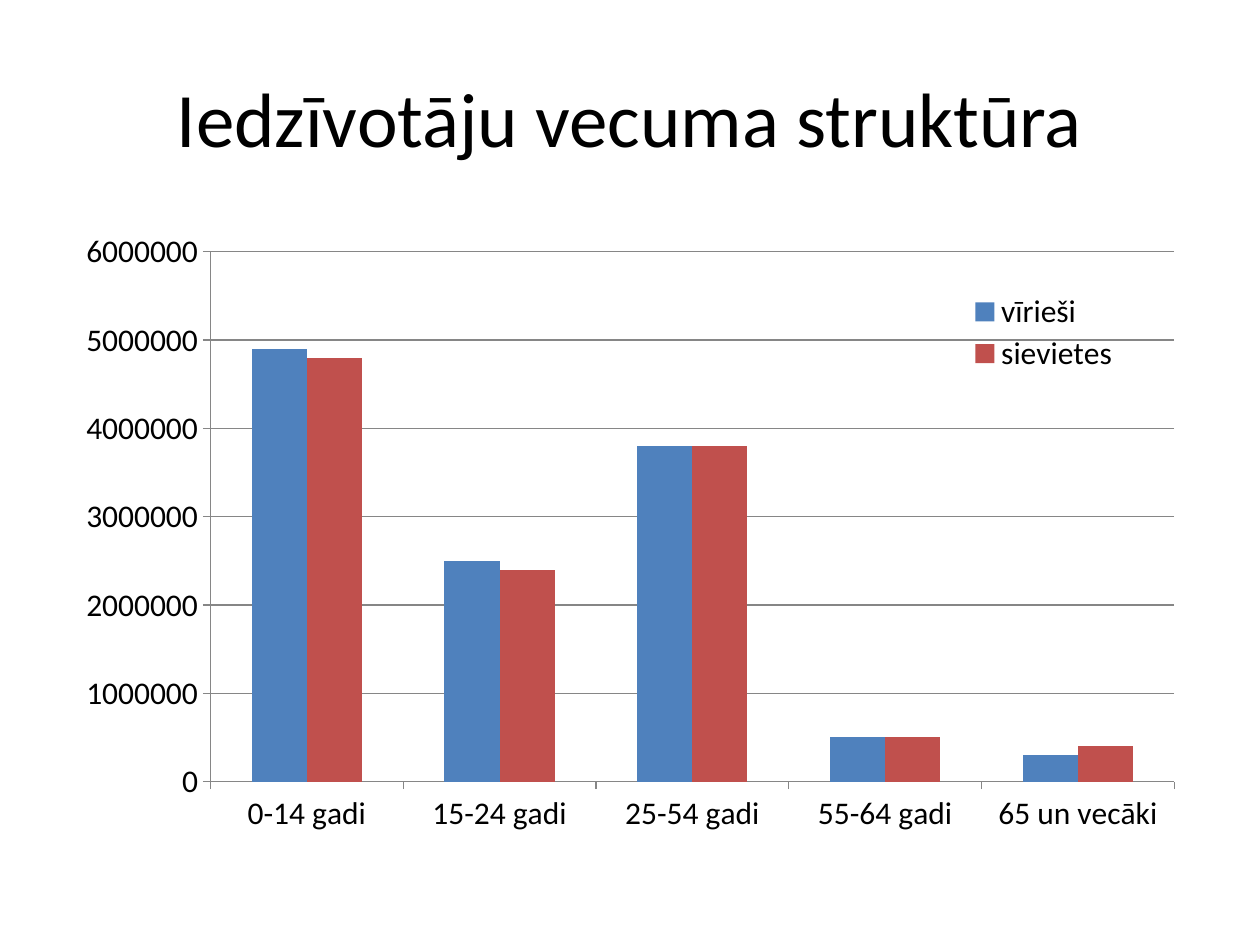
import pptx
import pptx.chart.data
import pptx.dml.color
import pptx.enum.chart
import pptx.enum.text
import pptx.oxml
import pptx.oxml.ns
import pptx.util

Inches = pptx.util.Inches
Pt = pptx.util.Pt
RGBColor = pptx.dml.color.RGBColor
BLACK = RGBColor(0x00, 0x00, 0x00)
BLUE = RGBColor(0x4F, 0x81, 0xBD)
RED = RGBColor(0xC0, 0x50, 0x4D)
GREY = RGBColor(0x86, 0x86, 0x86)
FONT = "Calibri"

AGE_GROUPS = ["0-14 gadi", "15-24 gadi", "25-54 gadi", "55-64 gadi", "65 un vecāki"]
POPULATION = {
    "vīrieši": (BLUE, [4900000, 2500000, 3800000, 500000, 300000]),
    "sievietes": (RED, [4800000, 2400000, 3800000, 500000, 400000]),
}


def set_format(target, values):
    """Set each attribute of the target from a dict of values."""
    for name, value in values.items():
        setattr(target, name, value)


def set_font(font, size):
    """Give a font its face, size and colour."""
    set_format(font, {"name": FONT, "size": Pt(size), "bold": False})
    font.color.rgb = BLACK


def add_title(page, text):
    """Fill and place the title placeholder."""
    box = page.shapes.title
    set_format(box, {"left": Inches(0.5), "top": Inches(0.3),
                     "width": Inches(9), "height": Inches(1.25)})
    frame = box.text_frame
    set_format(frame, {"word_wrap": True,
                       "vertical_anchor": pptx.enum.text.MSO_ANCHOR.MIDDLE})
    para = frame.paragraphs[0]
    para.alignment = pptx.enum.text.PP_ALIGN.CENTER
    span = para.add_run()
    span.text = text
    set_font(span.font, 44)


def make_layout(left, top, width, height, inner=False):
    """Return a manual chart layout in fractions of the chart."""
    parts = {"layoutTarget": "inner"} if inner else {}
    parts.update(xMode="edge", yMode="edge", x=left, y=top, w=width, h=height)
    body = "".join(f'<c:{name} val="{value}"/>' for name, value in parts.items())
    return pptx.oxml.parse_xml(
        f'<c:layout {pptx.oxml.ns.nsdecls("c")}>'
        f'<c:manualLayout>{body}</c:manualLayout></c:layout>')


def place_part(parent, layout, position):
    """Put a layout into a chart part in place of any existing one."""
    for old in parent.findall(pptx.oxml.ns.qn("c:layout")):
        parent.remove(old)
    parent.insert(position, layout)


def style_axis(axis, gridlines):
    """Format one axis with outside ticks and grey lines."""
    set_format(axis, {"has_major_gridlines": gridlines,
                      "major_tick_mark": pptx.enum.chart.XL_TICK_MARK.OUTSIDE,
                      "minor_tick_mark": pptx.enum.chart.XL_TICK_MARK.NONE})
    set_font(axis.tick_labels.font, 18)
    lines = [axis.format.line]
    if gridlines:
        lines.append(axis.major_gridlines.format.line)
    for line in lines:
        line.color.rgb = GREY
        line.width = Pt(0.75)


def add_age_chart(page):
    """Add the clustered columns of population by age and sex."""
    data = pptx.chart.data.CategoryChartData(number_format="General")
    data.categories = AGE_GROUPS
    for name, (_, values) in POPULATION.items():
        data.add_series(name, values)
    chart = page.shapes.add_chart(
        pptx.enum.chart.XL_CHART_TYPE.COLUMN_CLUSTERED,
        Inches(0.5), Inches(1.75), Inches(9), Inches(4.95), data).chart
    set_format(chart, {"has_title": False, "has_legend": True})
    set_font(chart.font, 18)

    plot = chart.plots[0]
    set_format(plot, {"gap_width": 150, "overlap": 0, "vary_by_categories": False})
    for series, (color, _) in zip(plot.series, POPULATION.values()):
        series.format.fill.solid()
        series.format.fill.fore_color.rgb = color

    style_axis(chart.category_axis, False)
    style_axis(chart.value_axis, True)
    set_format(chart.value_axis, {"minimum_scale": 0, "maximum_scale": 6000000,
                                  "major_unit": 1000000})

    legend = chart.legend
    set_format(legend, {"position": pptx.enum.chart.XL_LEGEND_POSITION.RIGHT,
                        "include_in_layout": True})
    set_font(legend.font, 18)
    plot_area = chart.element.find(".//" + pptx.oxml.ns.qn("c:plotArea"))
    legend_part = chart.element.find(".//" + pptx.oxml.ns.qn("c:legend"))
    place_part(plot_area, make_layout(0.13, 0.05, 0.85, 0.85, inner=True), 0)
    place_part(legend_part, make_layout(0.79, 0.11, 0.15, 0.14), 1)


def main():
    """Build and save the slide."""
    deck = pptx.Presentation()
    set_format(deck, {"slide_width": Inches(10), "slide_height": Inches(7.5)})
    page = deck.slides.add_slide(deck.slide_layouts[5])
    add_title(page, "Iedzīvotāju vecuma struktūra")
    add_age_chart(page)
    deck.save("out.pptx")


main()
